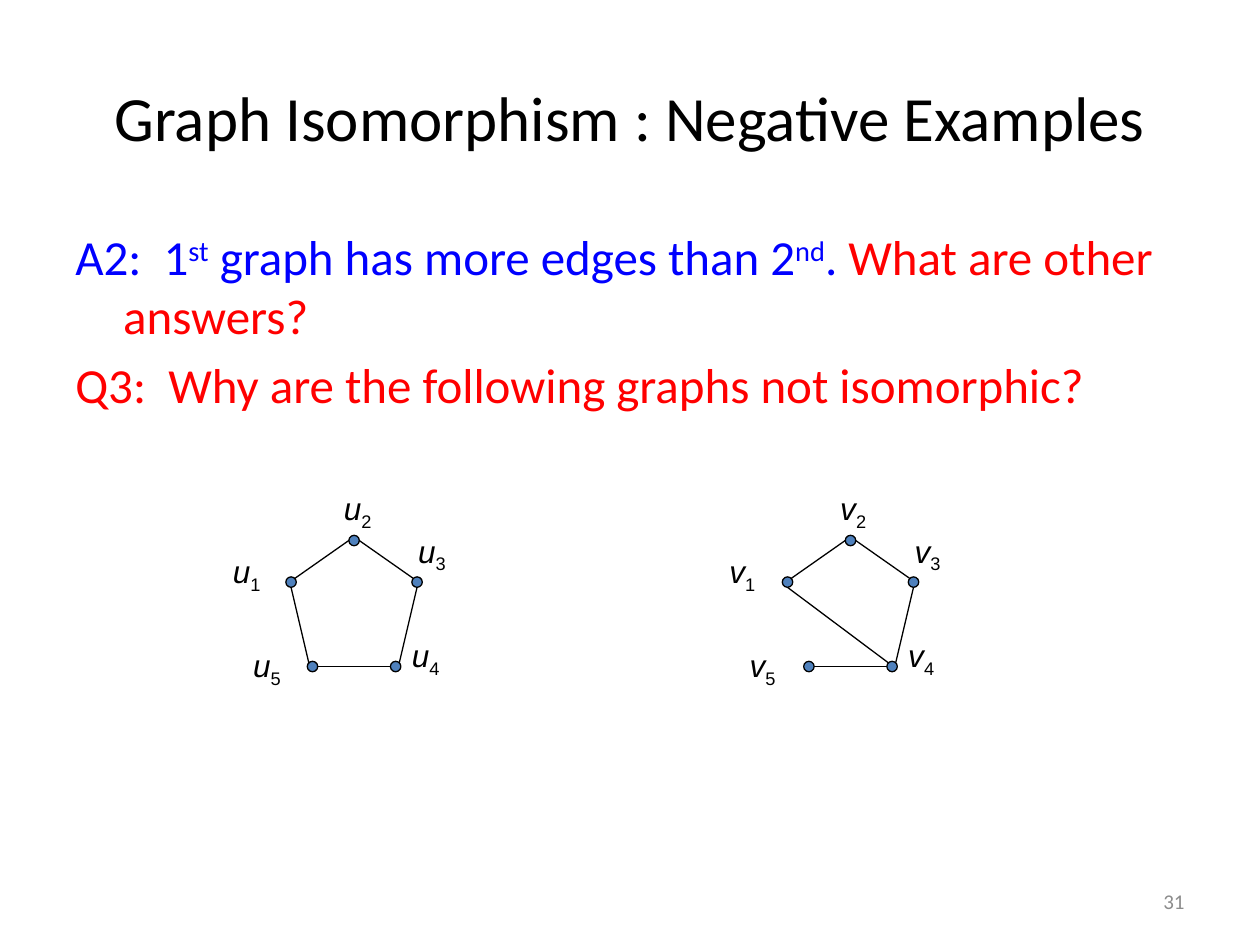
from pptx import Presentation
from pptx.dml.color import RGBColor
from pptx.enum.shapes import MSO_CONNECTOR, MSO_SHAPE
from pptx.enum.text import MSO_ANCHOR, PP_ALIGN
from pptx.oxml.ns import qn
from pptx.util import Inches, Pt
from lxml import etree

LINE, OVAL = MSO_CONNECTOR.STRAIGHT, MSO_SHAPE.OVAL
TOP, MIDDLE = MSO_ANCHOR.TOP, MSO_ANCHOR.MIDDLE
LEFT, CENTER, RIGHT = PP_ALIGN.LEFT, PP_ALIGN.CENTER, PP_ALIGN.RIGHT

BLACK, BLUE, RED, GRAY, NODE = "000000", "0000FF", "FF0000", "8C8C8C", "4F81BD"
DOT = 0.083  # node diameter
DIAG = 0.7   # share of the radius at a diagonal anchor

# Node centres and label corners, relative to the graph's box
NODES = {1: (0.56, 0.79), 2: (1.06, 0.46), 3: (1.56, 0.79),
         4: (1.39, 1.46), 5: (0.73, 1.46)}
LABELS = {1: (0, 0.5), 2: (0.88, 0), 3: (1.47, 0.34),
          4: (1.42, 1.17), 5: (0.16, 1.25)}

# Anchor directions on a node's rim
W, E, S = (-1, 0), (1, 0), (0, 1)
NW, NE = (-DIAG, -DIAG), (DIAG, -DIAG)

# Edges: node and anchor at each end
PATH = [(5, E, 4, W), (3, S, 4, NE), (2, W, 1, NE), (2, E, 3, NW)]
CYCLE_EDGES = PATH + [(1, S, 5, NW)]
TAILED_EDGES = PATH + [(1, S, 4, NW)]


def color(hex_string):
    return RGBColor.from_string(hex_string)


def add_box(s, x, y, w, h, anchor=TOP, wrap=True):
    tf = s.shapes.add_textbox(Inches(x), Inches(y), Inches(w), Inches(h)).text_frame
    tf.word_wrap = wrap
    tf.vertical_anchor = anchor
    return tf


def style(p, size, font, align=LEFT):
    p.alignment = align
    p.font.size = Pt(size)
    p.font.name = font


def add_run(p, text, hex_string, baseline=0, italic=False):
    r = p.add_run()
    r.text = text
    r.font.color.rgb = color(hex_string)
    if italic:
        r.font.italic = True
    if baseline:
        r._r.get_or_add_rPr().set("baseline", str(baseline * 1000))


def add_line_of_text(s, box, text, size, hex_string, align):
    p = add_box(s, *box, anchor=MIDDLE).paragraphs[0]
    style(p, size, "Calibri", align)
    add_run(p, text, hex_string)


def add_body(s, x, y, w, h):
    tf = add_box(s, x, y, w, h)
    paragraphs = [
        [("A2:  1", BLUE), ("st", BLUE, 30), (" graph has more edges than 2", BLUE),
         ("nd", BLUE, 30), (".", BLUE), (" What are other answers?", RED)],
        [("Q3:  Why are the following graphs not isomorphic?", RED)],
    ]
    for i, runs in enumerate(paragraphs):
        p = tf.add_paragraph() if i else tf.paragraphs[0]
        style(p, 28, "Calibri")
        p.space_before = Pt(5.6)
        # Hanging indent
        pPr = p._p.get_or_add_pPr()
        pPr.set("marL", str(Inches(0.38)))
        pPr.set("indent", str(Inches(-0.38)))
        for run in runs:
            add_run(p, *run)


def add_graph(s, x, y, letter, label_width, edges):
    def rim(node, direction):
        cx, cy = NODES[node]
        dx, dy = direction
        return Inches(x + cx + dx * DOT / 2), Inches(y + cy + dy * DOT / 2)

    # Nodes
    for cx, cy in NODES.values():
        dot = s.shapes.add_shape(OVAL, Inches(x + cx - DOT / 2), Inches(y + cy - DOT / 2),
                                 Inches(DOT), Inches(DOT))
        dot.shadow.inherit = False
        dot.fill.solid()
        dot.fill.fore_color.rgb = color(NODE)
        dot.line.color.rgb = color(BLACK)
        dot.line.width = Pt(0.75)

    # Edges
    for start, start_dir, end, end_dir in edges:
        edge = s.shapes.add_connector(LINE, *rim(start, start_dir), *rim(end, end_dir))
        edge.line.color.rgb = color(BLACK)
        edge.line.width = Pt(0.75)
        etree.SubElement(edge._element.spPr, qn("a:effectLst"))

    # Labels
    for number, (dx, dy) in LABELS.items():
        p = add_box(s, x + dx, y + dy, label_width, 0.5, wrap=False).paragraphs[0]
        style(p, 18, "Arial")
        add_run(p, letter, BLACK, italic=True)
        add_run(p, str(number), BLACK, -25)


def main():
    prs = Presentation()
    prs.slide_width, prs.slide_height = Inches(10), Inches(7.5)
    s = prs.slides.add_slide(prs.slide_layouts[6])

    add_line_of_text(s, (7.17, 6.95, 2.33, 0.4), "31", 12, GRAY, RIGHT)
    add_line_of_text(s, (0.5, 0.3, 9, 1.25), "Graph Isomorphism : Negative Examples",
                     36, BLACK, CENTER)
    add_body(s, 0.5, 1.75, 9, 4.95)
    add_graph(s, 1.75, 3.83, "u", 0.51, CYCLE_EDGES)
    add_graph(s, 5.69, 3.83, "v", 0.49, TAILED_EDGES)

    prs.save("out.pptx")


if __name__ == "__main__":
    main()
